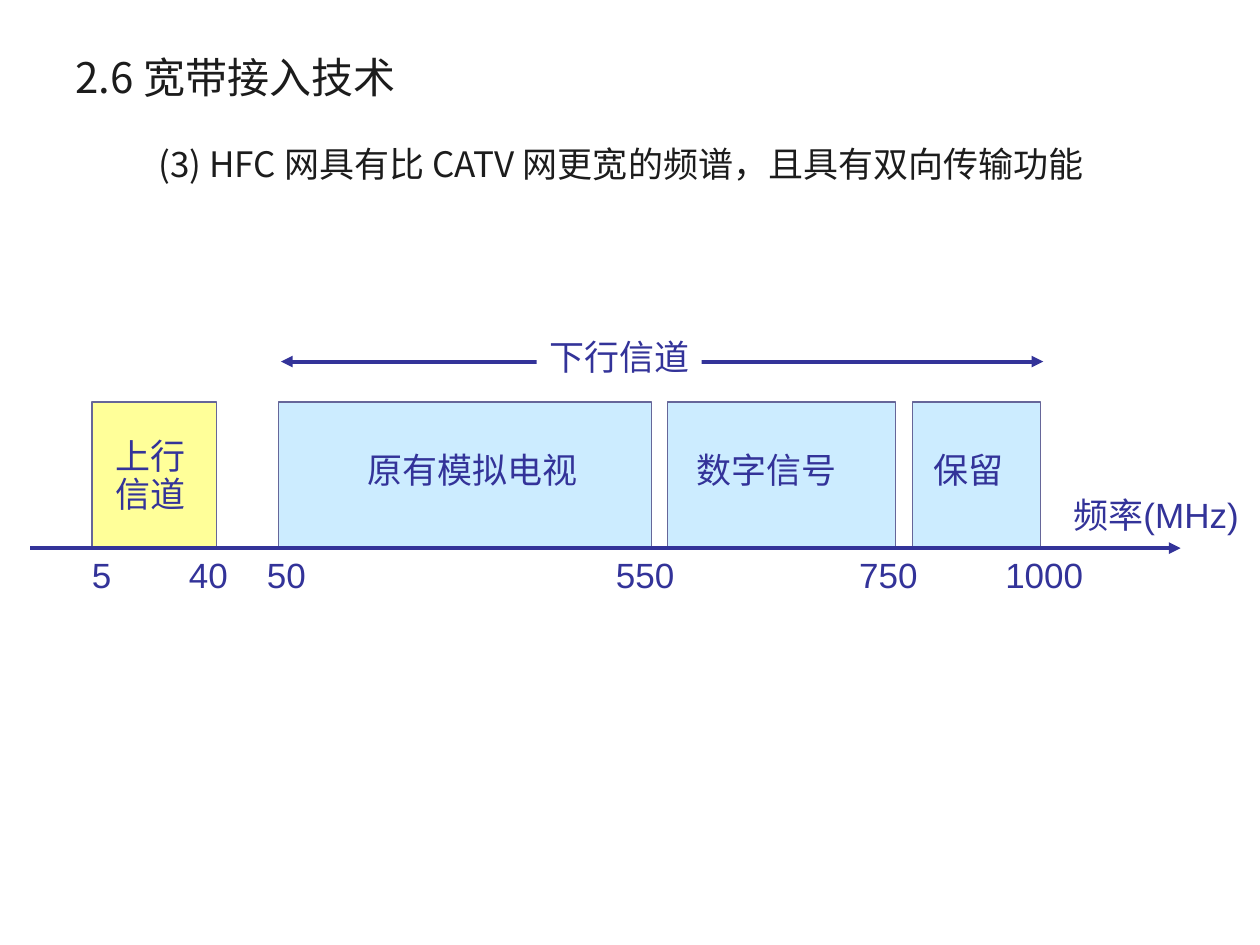
from dataclasses import dataclass

from lxml import etree
from pptx import Presentation
from pptx.dml.color import RGBColor
from pptx.enum.shapes import MSO_CONNECTOR, MSO_SHAPE
from pptx.enum.text import MSO_ANCHOR, PP_ALIGN
from pptx.oxml.ns import qn
from pptx.util import Inches, Pt

COLUMNS, ROWS = 100, 75
CELL = 0.1  # inches per grid column and row


@dataclass(frozen=True)
class Theme:
    ink: RGBColor = RGBColor(0x1C, 0x1C, 0x1C)
    navy: RGBColor = RGBColor(0x33, 0x33, 0x99)
    outline: RGBColor = RGBColor(0x66, 0x66, 0x99)
    uplink: RGBColor = RGBColor(0xFF, 0xFF, 0x99)
    downlink: RGBColor = RGBColor(0xCC, 0xEC, 0xFF)
    paper: RGBColor = RGBColor(0xFF, 0xFF, 0xFF)
    heading_font: str = "Noto Sans CJK SC"
    label_font: str = "Arial"
    section_size: float = 24
    body_size: float = 20
    arrow_width: float = 2.25
    outline_width: float = 0.75


THEME = Theme()


@dataclass(frozen=True)
class Box:
    left: float
    top: float
    width: float
    height: float

    def inner(self, left, top, width, height):
        return Box(self.left + left, self.top + top, width, height)

    def lengths(self):
        return [grid(n) for n in (self.left, self.top, self.width, self.height)]


def grid(cells):
    return Inches(cells * CELL)


def add_text(slide, box, text, size=THEME.body_size, font=THEME.label_font,
             color=THEME.navy, align=PP_ALIGN.LEFT, anchor=MSO_ANCHOR.TOP,
             wrap=False, spacing=None, fill=None, tabs=()):
    """Add a text box; tabs are stops in grid columns from the text's left edge."""
    label = slide.shapes.add_textbox(*box.lengths())
    if fill is not None:
        label.fill.solid()
        label.fill.fore_color.rgb = fill
    frame = label.text_frame
    frame.word_wrap = wrap
    frame.vertical_anchor = anchor
    frame.text = text
    for paragraph in frame.paragraphs:
        paragraph.alignment = align
        paragraph.line_spacing = spacing
        if tabs:
            stops = etree.SubElement(paragraph._p.get_or_add_pPr(), qn("a:tabLst"))
            for stop in tabs:
                etree.SubElement(stops, qn("a:tab"), pos=str(grid(stop)), algn="l")
        paragraph.font.name = font
        paragraph.font.size = Pt(size)
        paragraph.font.color.rgb = color


def add_band(slide, box, fill):
    band = slide.shapes.add_shape(MSO_SHAPE.RECTANGLE, *box.lengths())
    band.shadow.inherit = False
    band.fill.solid()
    band.fill.fore_color.rgb = fill
    band.line.color.rgb = THEME.outline
    band.line.width = Pt(THEME.outline_width)


def add_arrow(slide, box, ends):
    """Draw a level arrow along the top of the box; ends are headEnd, tailEnd."""
    left, top, width, _ = box.lengths()
    arrow = slide.shapes.add_connector(
        MSO_CONNECTOR.STRAIGHT, left, top, left + width, top)
    arrow.line.color.rgb = THEME.navy
    arrow.line.width = Pt(THEME.arrow_width)
    properties = arrow._element.spPr
    outline = properties.find(qn("a:ln"))
    for end in ends:
        etree.SubElement(outline, qn(f"a:{end}"), type="triangle")
    etree.SubElement(properties, qn("a:effectLst"))


def add_headings(slide, box):
    add_text(slide, box.inner(0, 0, 90, 6.1), "2.6 宽带接入技术",
             THEME.section_size, THEME.heading_font, THEME.ink,
             anchor=MSO_ANCHOR.MIDDLE, wrap=True)
    add_text(slide, box.inner(1.7, 5.4, 85.2, 9.2),
             "(3) HFC 网具有比 CATV 网更宽的频谱，且具有双向传输功能",
             font=THEME.heading_font, color=THEME.ink, align=PP_ALIGN.CENTER,
             anchor=MSO_ANCHOR.MIDDLE, wrap=True)


def add_spectrum(slide, box):
    band_top, axis = 5.8, 17.4
    # band left, band width, fill, label left, label top, label
    bands = [
        (4.9, 9.9, THEME.uplink, 5.8, 8.3, "上行\n信道"),
        (19.7, 29.6, THEME.downlink, 25.8, 9, "原有模拟电视"),
        (50.6, 18.1, THEME.downlink, 51.9, 9, "数字信号"),
        (70, 10.2, THEME.downlink, 70.7, 9, "保留"),
    ]
    add_arrow(slide, box.inner(19.9, 2.6, 60.5, 0), ("headEnd", "tailEnd"))
    add_text(slide, box.inner(40.2, 0, 13.1, 4.4), "下行信道", fill=THEME.paper)
    for left, width, fill, label_left, label_top, label in bands:
        add_band(slide, box.inner(left, band_top, width, axis - band_top), fill)
        lines = label.split("\n")
        label_box = box.inner(label_left, label_top, 2 + 2.8 * len(lines[0]),
                              1 + 3.2 * len(lines))
        add_text(slide, label_box, label, spacing=0.9 if len(lines) > 1 else None)
    add_arrow(slide, box.inner(0, axis, 91.3, 0), ("tailEnd",))
    add_text(slide, box.inner(81.8, 12.6, 15.8, 4.4), "频率(MHz)")
    add_text(slide, box.inner(3.9, 17.3, 80.9, 4.4), "5\t40\t50\t550\t750\t1000",
             wrap=True, tabs=(7.7, 13.9, 41.6, 60.9, 72.5))


def main():
    presentation = Presentation()
    presentation.slide_width = grid(COLUMNS)
    presentation.slide_height = grid(ROWS)
    slide = presentation.slides.add_slide(presentation.slide_layouts[6])
    add_headings(slide, Box(5, 3, 90, 14.6))
    add_spectrum(slide, Box(2.4, 26.1, 97.6, 21.7))
    presentation.save("out.pptx")


if __name__ == "__main__":
    main()
